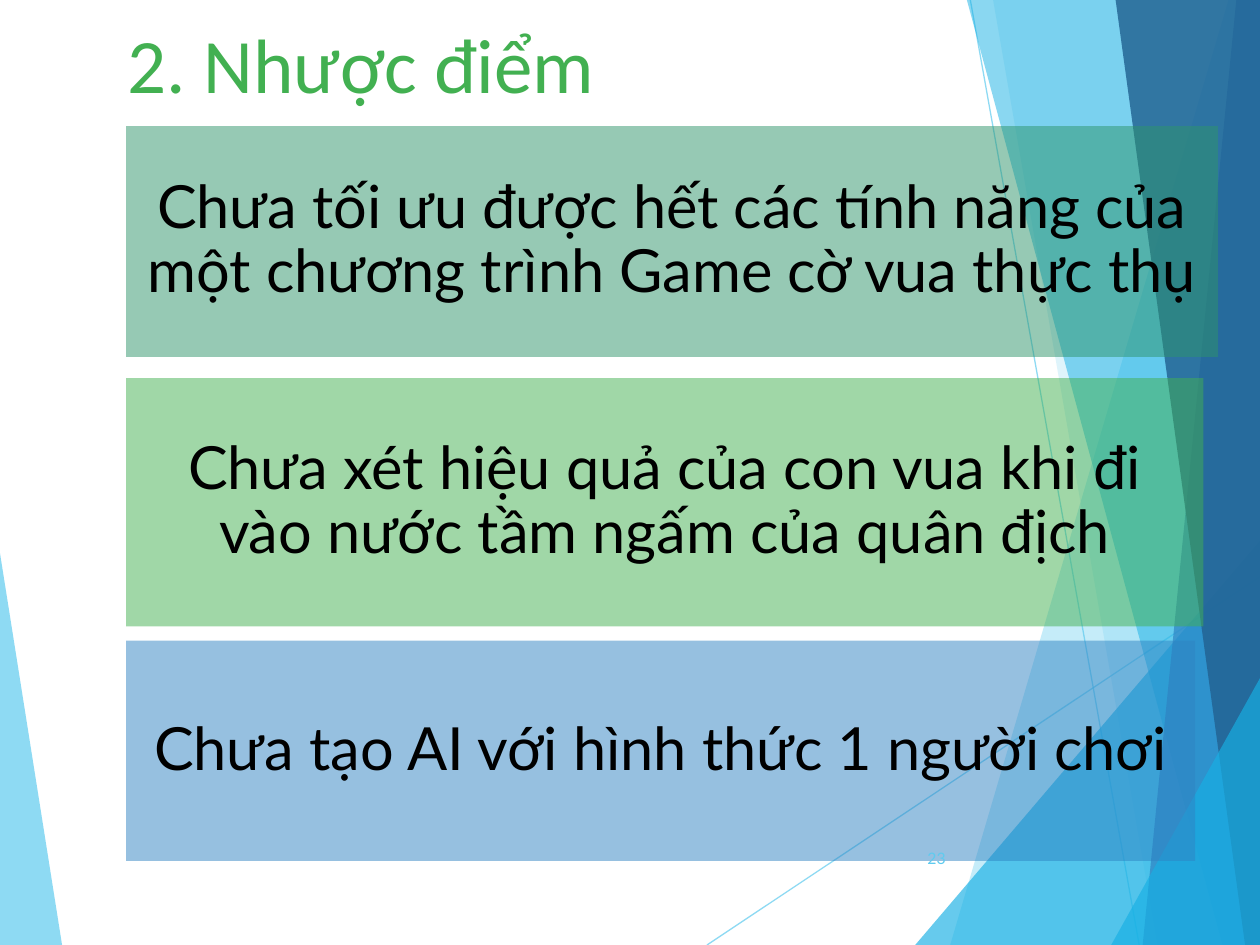
from lxml import etree
from pptx import Presentation
from pptx.dml.color import RGBColor
from pptx.enum.shapes import MSO_CONNECTOR, MSO_SHAPE
from pptx.enum.text import MSO_ANCHOR, PP_ALIGN
from pptx.oxml.ns import qn
from pptx.util import Pt

STRAIGHT = MSO_CONNECTOR.STRAIGHT
RECTANGLE = MSO_SHAPE.RECTANGLE
TOP, MIDDLE = MSO_ANCHOR.TOP, MSO_ANCHOR.MIDDLE
LEFT, CENTER, RIGHT = PP_ALIGN.LEFT, PP_ALIGN.CENTER, PP_ALIGN.RIGHT

SKY = RGBColor(0x5F, 0xCB, 0xEF)
CYAN = RGBColor(0x17, 0xB0, 0xE4)
BLUE = RGBColor(0x2E, 0x83, 0xC3)
NAVY = RGBColor(0x22, 0x62, 0x92)
TEAL = RGBColor(0x2E, 0x94, 0x6B)
GREEN = RGBColor(0x42, 0xB0, 0x51)
BLACK = RGBColor(0, 0, 0)

WIDTH, HEIGHT = 720, 540

# Facets from back to front: colour, opacity in percent, corner points
FACETS_BEHIND = [
    (SKY, 70, [(0, 316), (35.5, 540), (0, 540)]),
]
FACETS_FRONT = [
    (SKY, 36, [(702, 0), (543, 540), (720, 540), (720, 0)]),
    (SKY, 20, [(567.5, 0), (661.5, 540), (720, 540), (720, 0)]),
    (CYAN, 66, [(523, 540), (720, 309), (720, 540)]),
    (CYAN, 50, [(552.5, 0), (698.5, 540), (720, 540), (720, 0)]),
    (BLUE, 70, [(706.5, 0), (653, 540), (720, 540), (720, 0)]),
    (NAVY, 82, [(637.5, 0), (711.5, 540), (720, 540), (720, 0)]),
    (CYAN, 66, [(635, 540), (720, 387.5), (720, 540)]),
]
RAYS = [((404, 540), (720, 329.5)), ((554.5, 0), (651, 540))]

# Drawbacks: wording, colour, top, width, height
DRAWBACKS = [
    ("Chưa tối ưu được hết các tính năng của một chương trình Game cờ vua thực thụ",
     TEAL, 72, 624, 132),
    ("Chưa xét hiệu quả của con vua khi đi vào nước tầm ngấm của quân địch",
     GREEN, 216, 615.6, 142),
    ("Chưa tạo AI với hình thức 1 người chơi",
     BLUE, 366, 611, 126),
]


def set_opacity(color_format_parent, percent):
    color = color_format_parent.find(".//" + qn("a:srgbClr"))
    etree.SubElement(color, qn("a:alpha")).set("val", str(percent * 1000))


def fill_plain(shape, color, opacity):
    shape.shadow.inherit = False
    shape.fill.solid()
    shape.fill.fore_color.rgb = color
    shape.line.fill.background()
    set_opacity(shape._element.spPr, opacity)


def write(shape, text, font, size, color, align, anchor):
    frame = shape.text_frame
    frame.word_wrap = True
    frame.vertical_anchor = anchor
    paragraph = frame.paragraphs[0]
    paragraph.alignment = align
    run = paragraph.add_run()
    run.text = text
    run.font.name = font
    run.font.size = Pt(size)
    run.font.color.rgb = color
    return paragraph


def add_facets(slide, left, top, facets):
    for color, opacity, corners in facets:
        points = [(Pt(left + x), Pt(top + y)) for x, y in corners]
        builder = slide.shapes.build_freeform(*points[0])
        builder.add_line_segments(points[1:], close=True)
        fill_plain(builder.convert_to_shape(), color, opacity)


def add_rays(slide, left, top):
    for (x1, y1), (x2, y2) in RAYS:
        ray = slide.shapes.add_connector(
            STRAIGHT, Pt(left + x1), Pt(top + y1), Pt(left + x2), Pt(top + y2))
        ray.line.color.rgb = SKY
        ray.line.width = Pt(0.75)
        properties = ray._element.spPr
        set_opacity(properties, 70)
        etree.SubElement(properties, qn("a:effectLst"))


def add_backdrop(slide, left, top):
    add_facets(slide, left, top, FACETS_BEHIND)
    add_rays(slide, left, top)
    add_facets(slide, left, top, FACETS_FRONT)


def add_label(slide, left, top, width, height, *style):
    box = slide.shapes.add_textbox(Pt(left), Pt(top), Pt(width), Pt(height))
    write(box, *style)


def add_drawback(slide, left, top, width, height, text, color):
    panel = slide.shapes.add_shape(
        RECTANGLE, Pt(left), Pt(top), Pt(width), Pt(height))
    fill_plain(panel, color, 50)
    frame = panel.text_frame
    frame.margin_left = frame.margin_right = Pt(10)
    frame.margin_top = frame.margin_bottom = Pt(10)
    paragraph = write(panel, text, "Lato", 34, BLACK, CENTER, MIDDLE)
    paragraph.line_spacing = 0.9


def main():
    presentation = Presentation()
    presentation.slide_width, presentation.slide_height = Pt(WIDTH), Pt(HEIGHT)
    slide = presentation.slides.add_slide(presentation.slide_layouts[6])

    # Faceted backdrop
    add_backdrop(slide, 0, 0)

    # Title
    add_label(slide, 66, 6, 372, 60.5,
              "2. Nhược điểm", "Calibri", 44, GREEN, LEFT, TOP)

    # Drawback panels
    for text, color, top, width, height in DRAWBACKS:
        add_drawback(slide, 72, top, width, height, text, color)

    # Slide number
    add_label(slide, 507.5, 476, 40, 28.8, "23", "Lato", 9, SKY, RIGHT, MIDDLE)

    presentation.save("out.pptx")


if __name__ == "__main__":
    main()
